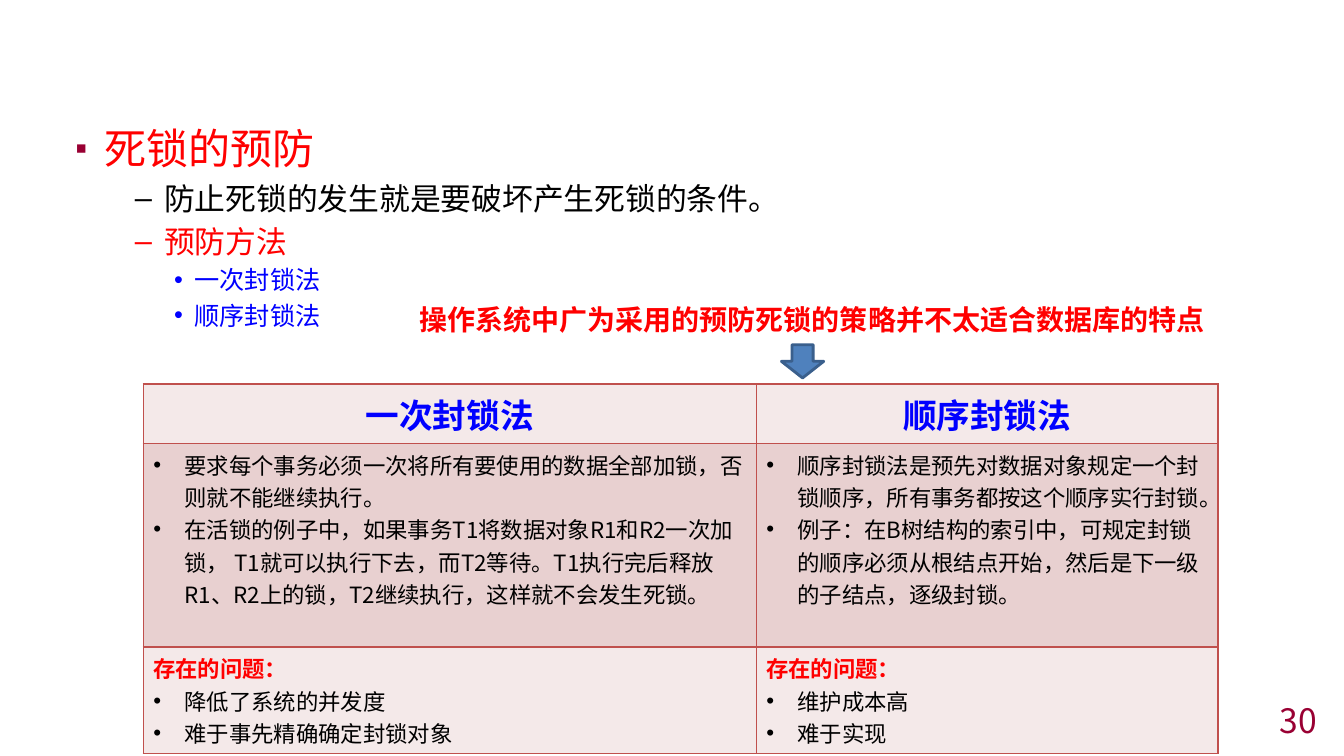
from dataclasses import dataclass

from lxml.etree import SubElement
from pptx import Presentation
from pptx.dml.color import RGBColor
from pptx.enum.shapes import MSO_SHAPE
from pptx.enum.text import MSO_ANCHOR, PP_ALIGN
from pptx.oxml.ns import qn
from pptx.util import Inches, Pt


@dataclass(frozen=True)
class Theme:
    font: str = "Noto Sans CJK SC"
    black: str = "000000"
    red: str = "FF0000"
    blue: str = "0000FF"
    wine: str = "990033"
    pale: str = "F4E9E9"
    rose: str = "E8D0D0"
    rule: str = "C0504D"
    arrow: str = "4F81BD"
    edge: str = "3A5F8C"
    levels: tuple = (30, 22, 18)
    head: int = 24
    note: int = 20
    cell: int = 16


T = Theme()

# Left indent, hang and bullet sign of each outline level
MARKS = ((0.29, 0.29, "▪"), (0.88, 0.29, "–"), (1.18, 0.2, "•"))
DOT = (0.31, 0.31, "•")

OUTLINE = (
    (0, "死锁的预防", T.red),
    (1, "防止死锁的发生就是要破坏产生死锁的条件。", T.black),
    (1, "预防方法", T.red),
    (2, "一次封锁法", T.blue),
    (2, "顺序封锁法", T.blue),
)
NOTE = "操作系统中广为采用的预防死锁的策略并不太适合数据库的特点"
ISSUE = "存在的问题："

# Each method: name, rules, problems
METHODS = (
    ("一次封锁法",
     ("要求每个事务必须一次将所有要使用的数据全部加锁，否则就不能继续执行。",
      "在活锁的例子中，如果事务T1将数据对象R1和R2一次加锁， T1就可以执行下去，"
      "而T2等待。T1执行完后释放R1、R2上的锁，T2继续执行，这样就不会发生死锁。"),
     ("降低了系统的并发度", "难于事先精确确定封锁对象")),
    ("顺序封锁法",
     ("顺序封锁法是预先对数据对象规定一个封锁顺序，所有事务都按这个顺序实行封锁。",
      "例子：在B树结构的索引中，可规定封锁的顺序必须从根结点开始，"
      "然后是下一级的子结点，逐级封锁。"),
     ("维护成本高", "难于实现")),
)


def rgb(color):
    return RGBColor.from_string(color)


def write(frame, text, size=T.cell, color=T.black, bold=False, align=PP_ALIGN.LEFT,
          mark=None, tint=None, scale=None, level=0, gap=0):
    """Add one formatted paragraph, filling the empty first one if there is one."""
    para = frame.paragraphs[0]
    if para.runs:
        para = frame.add_paragraph()
        para.space_before = Pt(gap)
    para.alignment = align
    para.level = level
    if mark:
        left, hang, sign = mark
        props = para._p.get_or_add_pPr()
        props.set("marL", str(Inches(left)))
        props.set("indent", str(-Inches(hang)))
        if tint:
            SubElement(SubElement(props, qn("a:buClr")), qn("a:srgbClr")).set("val", tint)
        if scale:
            SubElement(props, qn("a:buSzPct")).set("val", str(scale * 1000))
        SubElement(props, qn("a:buFont")).set("typeface", "Arial")
        SubElement(props, qn("a:buChar")).set("char", sign)
    run = para.add_run()
    run.text = text
    font = run.font
    font.name, font.size, font.bold = T.font, Pt(size), bold
    font.color.rgb = rgb(color)
    SubElement(run._r.get_or_add_rPr(), qn("a:ea")).set("typeface", T.font)


def frame_at(slide, box):
    frame = slide.shapes.add_textbox(*map(Inches, box)).text_frame
    frame.word_wrap = True
    return frame


def outline(slide, box):
    frame = frame_at(slide, box)
    for level, text, color in OUTLINE:
        size = T.levels[level]
        top = level == 0
        write(frame, text, size, color, level=level, mark=MARKS[level],
              tint=T.wine if top else None, scale=80 if top else None,
              gap=0.2 * size)


def callout(slide, box):
    """Remark with an arrow pointing down at the table."""
    left, top, _, _ = box
    write(frame_at(slide, box), NOTE, T.note, T.red, bold=True)
    place = (left + 3.69, top + 0.47, 0.42, 0.33)
    arrow = slide.shapes.add_shape(MSO_SHAPE.DOWN_ARROW, *map(Inches, place))
    arrow.shadow.inherit = False
    arrow.fill.solid()
    arrow.fill.fore_color.rgb = rgb(T.arrow)
    arrow.line.color.rgb = rgb(T.edge)
    arrow.line.width = Pt(2)


def dress(cell, color):
    """Give a cell its borders and fill."""
    props = cell._tc.get_or_add_tcPr()
    for side in ("a:lnL", "a:lnR", "a:lnT", "a:lnB"):
        edge = SubElement(props, qn(side), w=str(Pt(1)))
        SubElement(SubElement(edge, qn("a:solidFill")), qn("a:srgbClr")).set("val", T.rule)
    cell.fill.solid()
    cell.fill.fore_color.rgb = rgb(color)


def compare(slide, box):
    """Table with one column for each method."""
    grid = slide.shapes.add_table(3, len(METHODS), *map(Inches, box)).table
    for col, width in zip(grid.columns, (6.08, 4.58)):
        col.width = Inches(width)
    # Rows tall enough for all their lines
    for row, height in zip(grid.rows, (0.59, 2.02, 1.06)):
        row.height = Inches(height)
    for col, (name, rules, faults) in enumerate(METHODS):
        cells = [grid.cell(row, col) for row in range(3)]
        for cell, color in zip(cells, (T.pale, T.rose, T.pale)):
            dress(cell, color)
        head, body, foot = (cell.text_frame for cell in cells)
        write(head, name, T.head, T.blue, bold=True, align=PP_ALIGN.CENTER)
        write(foot, ISSUE, color=T.red, bold=True)
        for frame, items in ((body, rules), (foot, faults)):
            for item in items:
                write(frame, item, mark=DOT)


def number(slide, box):
    frame = frame_at(slide, box)
    frame.vertical_anchor = MSO_ANCHOR.MIDDLE
    write(frame, "30", T.head, T.wine, align=PP_ALIGN.RIGHT)


def main():
    deck = Presentation()
    deck.slide_width, deck.slide_height = Inches(13.33), Inches(7.5)
    slide = deck.slides.add_slide(deck.slide_layouts[6])
    outline(slide, (0.65, 1.17, 12.04, 5.98))
    number(slide, (10.33, 6.99, 2.83, 0.31))
    compare(slide, (1.42, 3.81, 10.66, 3.67))
    callout(slide, (4.06, 2.95, 8, 0.44))
    deck.save("out.pptx")


if __name__ == "__main__":
    main()
